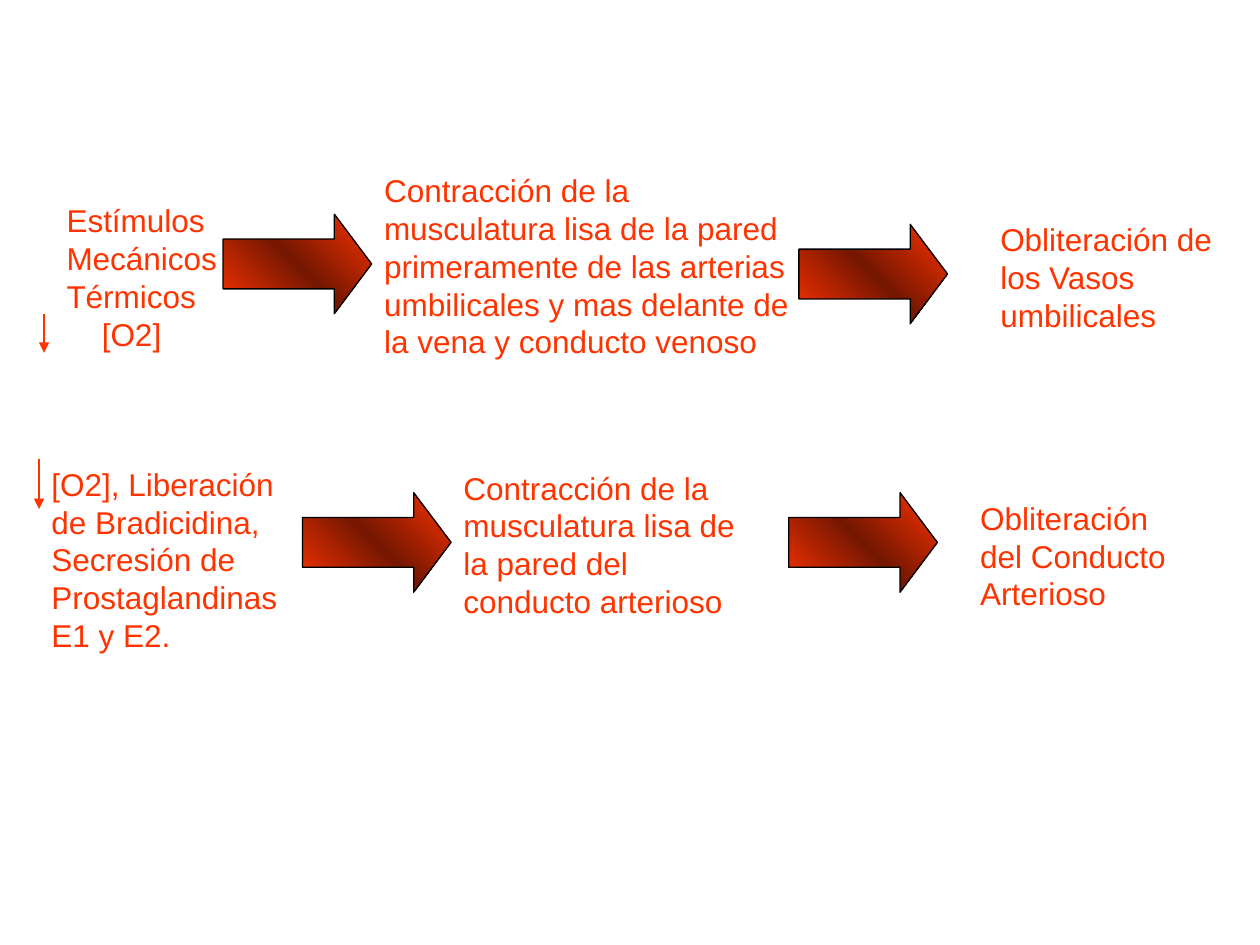
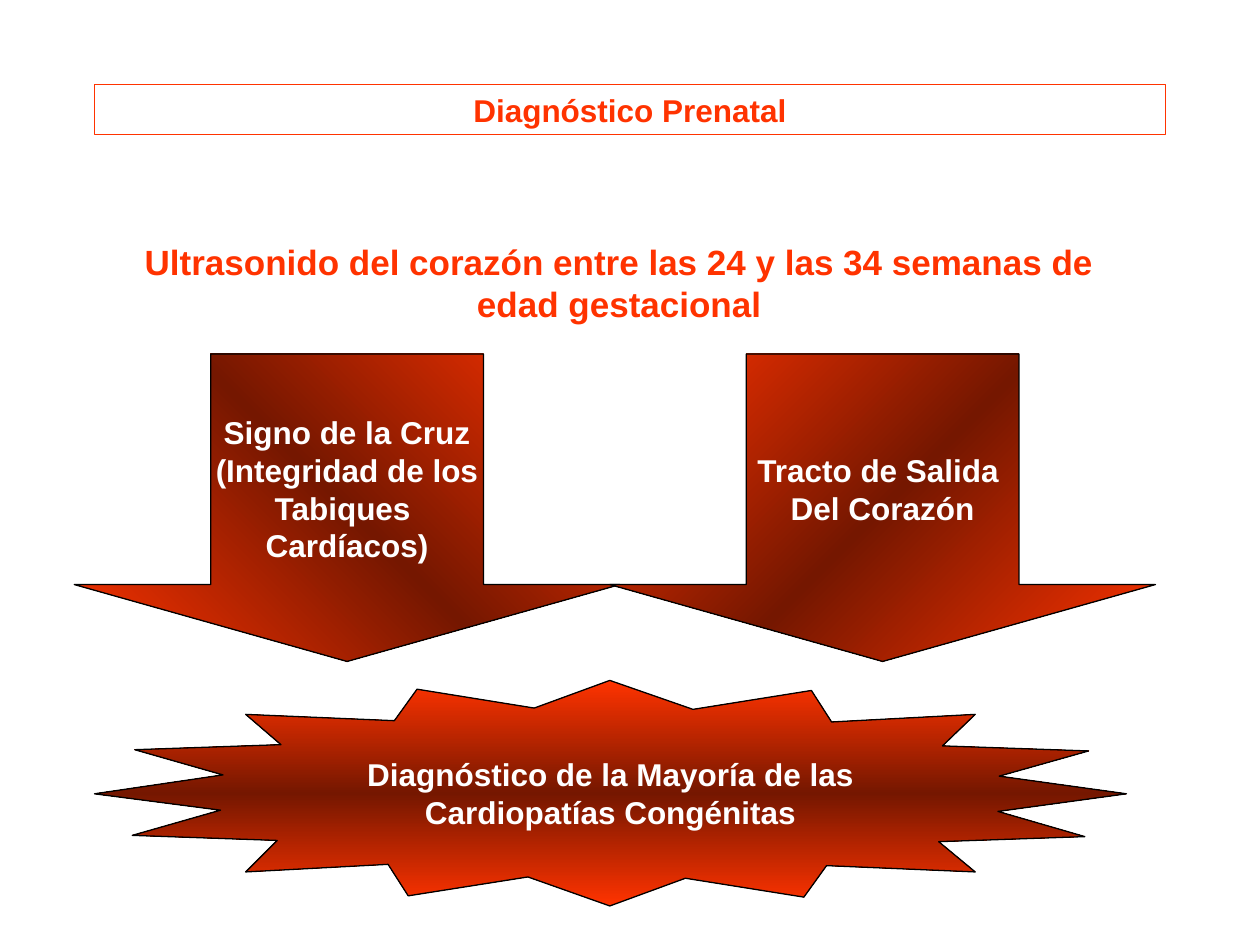
from copy import deepcopy

from lxml import etree
from pptx import Presentation
from pptx.dml.color import RGBColor
from pptx.enum.shapes import MSO_CONNECTOR, MSO_SHAPE
from pptx.enum.text import MSO_ANCHOR, MSO_AUTO_SIZE, PP_ALIGN
from pptx.oxml.ns import qn
from pptx.util import Pt

PX = 9144  # EMU in one px, 100 px to the inch
TITLE_ONLY, BLANK = 5, 6
LEFT, CENTER = PP_ALIGN.LEFT, PP_ALIGN.CENTER
TOP, MIDDLE = MSO_ANCHOR.TOP, MSO_ANCHOR.MIDDLE
RIGHT_ARROW, DOWN_ARROW = MSO_SHAPE.RIGHT_ARROW, MSO_SHAPE.DOWN_ARROW
COLORS = {"accent": "FF3300", "dark": "751700", "line": "000000", "light": "FFFFFF"}
FONT = "Arial"
LINE_WIDTH = Pt(0.75)


def color(name):
    return RGBColor.from_string(COLORS[name])


class Deck:
    """Holds the shared style and the slide being built."""

    def __init__(self):
        self.presentation = Presentation()
        self.presentation.slide_width = 1000 * PX
        self.presentation.slide_height = 750 * PX
        self.slide = None

    def new_slide(self, layout):
        self.slide = self.presentation.slides.add_slide(
            self.presentation.slide_layouts[layout])

    def fill_text(self, shape, lines, size=18, ink="accent", bold=False,
                  align=LEFT, anchor=TOP, wrap=True):
        frame = shape.text_frame
        frame.auto_size = MSO_AUTO_SIZE.NONE
        frame.word_wrap = wrap
        frame.vertical_anchor = anchor
        for index, line in enumerate(lines):
            paragraph = frame.add_paragraph() if index else frame.paragraphs[0]
            paragraph.alignment = align
            run = paragraph.add_run()
            run.text = line
            run.font.name = FONT
            run.font.size = Pt(size)
            run.font.bold = bold
            run.font.color.rgb = color(ink)

    def outline(self, shape, name):
        shape.line.color.rgb = color(name)
        shape.line.width = LINE_WIDTH

    def title(self, text, left, top, width, height):
        title = self.slide.shapes.title
        title.left, title.top = left * PX, top * PX
        title.width, title.height = width * PX, height * PX
        self.outline(title, "accent")
        self.fill_text(title, [text], bold=True, align=CENTER)

    def text(self, lines, left, top, width, height, **style):
        box = self.slide.shapes.add_textbox(left * PX, top * PX, width * PX, height * PX)
        self.fill_text(box, lines, **style)
        return box

    def gradient(self, shape, angle):
        """Accent to dark and back, at a clockwise angle, with a thin outline."""
        shape.shadow.inherit = False
        shape.fill.gradient()
        stop_list = shape._element.spPr.find(qn("a:gradFill")).find(qn("a:gsLst"))
        stop_list.append(deepcopy(stop_list[0]))
        names = ("accent", "dark", "accent")
        for stop, position, name in zip(shape.fill.gradient_stops, (0, 0.5, 1), names):
            stop.position = position
            stop.color.rgb = color(name)
        shape.fill.gradient_angle = 360 - angle
        self.outline(shape, "line")

    def label(self, shape, lines):
        self.fill_text(shape, lines, ink="light", bold=True,
                       align=CENTER, anchor=MIDDLE, wrap=False)

    def block_arrow(self, kind, left, top, width, height, point, angle=135, lines=()):
        arrow = self.slide.shapes.add_shape(
            kind, left * PX, top * PX, width * PX, height * PX)
        arrow.adjustments[0] = 0.5
        arrow.adjustments[1] = point
        self.gradient(arrow, angle)
        if lines:
            self.label(arrow, lines)

    def burst(self, points, angle, lines):
        builder = self.slide.shapes.build_freeform(*points[0], scale=PX)
        builder.add_line_segments(points[1:], close=True)
        shape = builder.convert_to_shape()
        self.gradient(shape, angle)
        self.label(shape, lines)

    def decrease_arrow(self, x, top, bottom):
        arrow = self.slide.shapes.add_connector(
            MSO_CONNECTOR.STRAIGHT, x * PX, top * PX, x * PX, bottom * PX)
        self.outline(arrow, "accent")
        properties = arrow._element.spPr
        etree.SubElement(properties.find(qn("a:ln")), qn("a:tailEnd"), type="triangle")
        etree.SubElement(properties, qn("a:effectLst"))


def build_closure_slide(deck):
    deck.new_slide(BLANK)

    # Causes, with the falling oxygen marks
    stimuli = deck.text(["Estímulos Mecánicos Térmicos", "[O2]"], 43, 155, 157, 130)
    oxygen = stimuli.text_frame.paragraphs[1]._p.get_or_add_pPr()
    oxygen.set("marL", str(28 * PX))
    oxygen.set("indent", "0")
    deck.decrease_arrow(35, 249, 280)
    deck.text(["[O2], Liberación de Bradicidina, Secresión de Prostaglandinas E1 y E2."],
              31, 364, 213, 160)
    deck.decrease_arrow(31, 364, 404)

    # Contraction and closure
    steps = [
        ("Contracción de la musculatura lisa de la pared primeramente de las arterias "
         "umbilicales y mas delante de la vena y conducto venoso", 295, 131, 354, 160),
        ("Obliteración de los Vasos umbilicales", 784, 170, 189, 100),
        ("Contracción de la musculatura lisa de la pared del conducto arterioso",
         358, 367, 244, 130),
        ("Obliteración del Conducto Arterioso", 768, 391, 189, 100),
    ]
    for words, *place in steps:
        deck.text([words], *place)

    # Arrows between the steps
    for left, top in ((177, 170), (634, 178), (240, 391), (626, 391)):
        deck.block_arrow(RIGHT_ARROW, left, top, 118, 79, 0.375)


def build_diagnosis_slide(deck):
    deck.new_slide(TITLE_ONLY)
    deck.title("Diagnóstico Prenatal", 75, 67, 850, 40)
    deck.text(["Ultrasonido del corazón entre las 24 y las 34 semanas de edad gestacional"],
              90, 186, 803, 77, size=20, bold=True, align=CENTER)

    # Two findings
    findings = [
        (59, 135, ["Signo de la Cruz", "(Integridad de los", "Tabiques ", "Cardíacos)"]),
        (484, 225, ["Tracto de Salida ", "Del Corazón"]),
    ]
    for left, angle, lines in findings:
        deck.block_arrow(DOWN_ARROW, left, 281, 433, 244, 0.25, angle, lines)

    # Conclusion
    burst_points = [
        (75, 630), (175, 643), (105, 663), (220, 667), (195, 692), (308, 686),
        (324, 711), (419, 696), (484, 719), (544, 697), (638, 712), (656, 687),
        (774, 692), (745, 668), (861, 664), (792, 644), (894, 630), (793, 616),
        (864, 596), (748, 592), (774, 567), (660, 573), (644, 548), (550, 563),
        (484, 540), (424, 562), (331, 547), (313, 572), (195, 567), (223, 591),
        (107, 595), (177, 615),
    ]
    deck.burst(burst_points, 90,
               ["Diagnóstico de la Mayoría de las", "Cardiopatías Congénitas"])


def main():
    deck = Deck()
    build_closure_slide(deck)
    build_diagnosis_slide(deck)
    deck.presentation.save("out.pptx")


if __name__ == "__main__":
    main()
